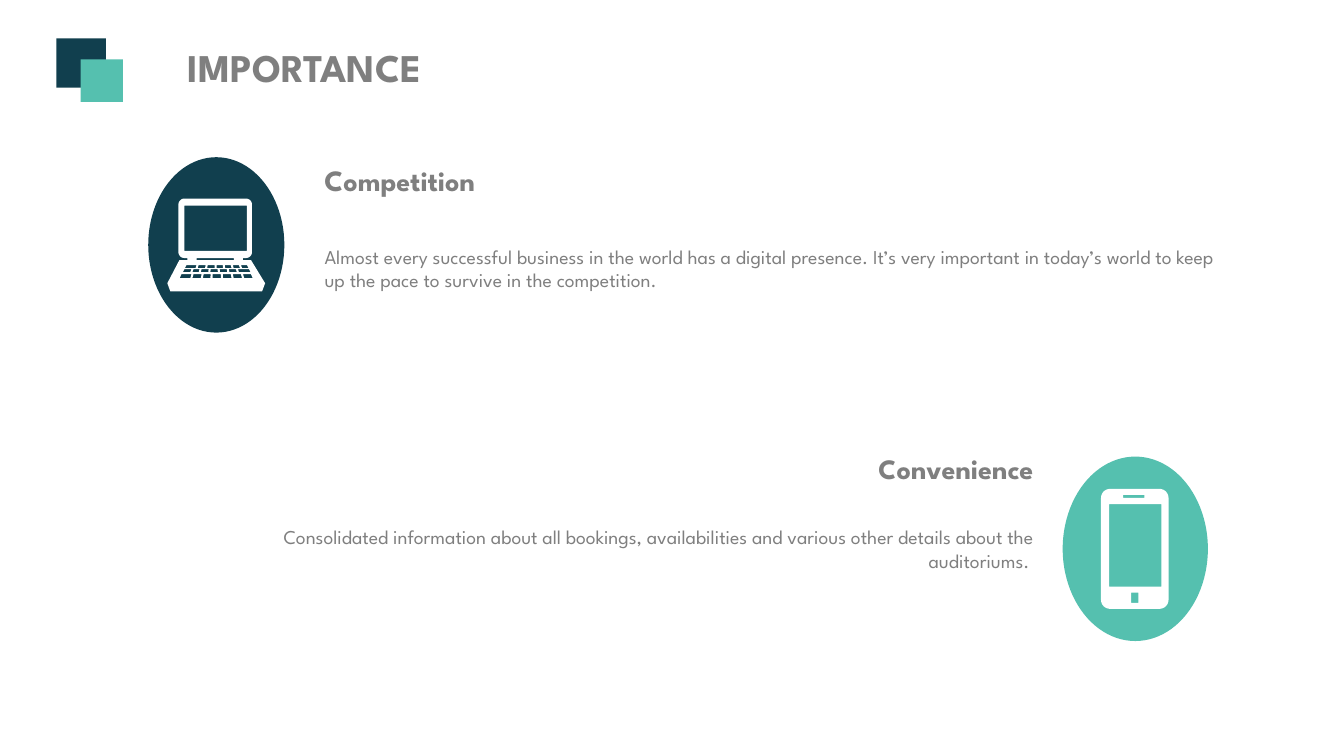
from dataclasses import dataclass
from math import cos, pi, sin

from pptx import Presentation
from pptx.dml.color import RGBColor
from pptx.enum.shapes import MSO_SHAPE
from pptx.enum.text import PP_ALIGN
from pptx.util import Pt

PX = 9144


@dataclass(frozen=True)
class Theme:
    navy: str = "113F4E"
    teal: str = "55C0AF"
    white: str = "FFFFFF"
    grey: str = "7F7F7F"
    font: str = "League Spartan"
    title: int = 28
    heading: int = 20
    initial: int = 21
    body: int = 14


THEME = Theme()


def px(*lengths):
    return [round(length * PX) for length in lengths]


def paint(shape, color):
    shape.shadow.inherit = False
    shape.fill.solid()
    shape.fill.fore_color.rgb = RGBColor.from_string(color)
    shape.line.fill.background()


def add_block(page, kind, box, color):
    paint(page.shapes.add_shape(kind, *px(*box)), color)


def write_text(page, text, box, size=THEME.body, bold=False, align=PP_ALIGN.LEFT, initial=None):
    frame = page.shapes.add_textbox(*px(*box)).text_frame
    frame.word_wrap = True
    para = frame.paragraphs[0]
    para.alignment = align
    parts = [(text[0], initial), (text[1:], size)] if initial else [(text, size)]
    for part, part_size in parts:
        span = para.add_run()
        span.text = part
        span.font.name = THEME.font
        span.font.size = Pt(part_size)
        span.font.bold = bold
        span.font.color.rgb = RGBColor.from_string(THEME.grey)


def rectangle(left, top, width, height):
    right, bottom = left + width, top + height
    return [(left, top), (right, top), (right, bottom), (left, bottom)]


def rounded(left, top, width, height, radius, steps=8):
    inner = rectangle(left + radius, top + radius, width - 2 * radius, height - 2 * radius)
    points = []
    for corner, (x, y) in enumerate(inner):
        for step in range(steps + 1):
            angle = pi + (corner + step / steps) * pi / 2
            points.append((x + radius * cos(angle), y + radius * sin(angle)))
    return points


def key_row(left, top, height, widths, gap=2, center=49, spread=0.05):
    keys = []
    for width in widths:
        right = left + width
        low_left, low_right = (x + (x - center) * spread for x in (left, right))
        keys.append([(left, top), (right, top), (low_right, top + height), (low_left, top + height)])
        left = right + gap
    return keys


def laptop_outlines():
    return [
        rounded(11, 0, 73, 59, 6),
        rectangle(17, 7, 62, 45),
        rectangle(20, 59, 9, 2),
        rectangle(66, 59, 9, 2),
        [(12, 61), (83, 61), (97, 84), (94, 92), (3, 92), (0, 84)],
        *key_row(19, 66, 3, (10, 7, 7, 6, 6, 6, 6)),
        *key_row(17, 70, 3, (7, 6, 7, 7, 7, 7, 11)),
        *key_row(14, 75, 4, (10, 8, 7, 8, 8, 8, 8)),
    ]


def phone_outlines():
    return [
        rounded(0, 0, 67, 119, 9),
        rectangle(30, 103, 7, 10),
        rectangle(22, 6, 21, 3),
        rectangle(8, 15, 52, 82),
    ]


def add_badge(page, box, color, outlines, offset):
    group = page.shapes.add_group_shape()
    add_block(group, MSO_SHAPE.OVAL, box, color)
    builder = None
    for outline in outlines:
        start, *rest = [px(*point) for point in outline]
        if builder is None:
            builder = group.shapes.build_freeform(*start)
        else:
            builder.move_to(*start)
        builder.add_line_segments(rest, close=True)
    origin = px(box[0] + offset[0], box[1] + offset[1])
    paint(builder.convert_to_shape(*origin), THEME.white)


def add_header(page, box, title):
    left, top, width, height = box
    write_text(page, title, (left + 43, top, width - 43, height),
               size=THEME.title, bold=True, align=PP_ALIGN.CENTER)
    add_block(page, MSO_SHAPE.RECTANGLE, (left, top, 49, 49), THEME.navy)
    add_block(page, MSO_SHAPE.RECTANGLE, (left + 24, top + 21, 42, 42), THEME.teal)


def add_competition(page, box):
    left, top, width, height = box
    add_badge(page, (left, top, 135, height), THEME.navy, laptop_outlines(), (19, 41))
    write_text(page, "Competition", (left + 165, top, 250, 65),
               size=THEME.heading, bold=True, initial=THEME.initial)
    write_text(page, "Almost every successful business in the world has a digital presence. "
               "It’s very important in today’s world to keep up the pace to survive in the competition.",
               (left + 165, top + 82, width - 165, 121))


def add_convenience(page, box):
    left, top, width, height = box
    right = left + width
    add_badge(page, (right - 144, top, 144, height), THEME.teal, phone_outlines(), (38, 32))
    write_text(page, "Convenience", (right - 447, top - 10, 284, 69),
               size=THEME.heading, bold=True, align=PP_ALIGN.RIGHT)
    write_text(page, "Consolidated information about all bookings, availabilities "
               "and various other details about the auditoriums. ",
               (left, top + 63, width - 162, 90), align=PP_ALIGN.RIGHT)


def main():
    deck = Presentation()
    deck.slide_width, deck.slide_height = px(1333, 750)
    page = deck.slides.add_slide(deck.slide_layouts[6])
    add_competition(page, (147, 156, 1080, 174))
    add_convenience(page, (208, 453, 990, 183))
    add_header(page, (56, 38, 449, 57), "IMPORTANCE")
    deck.save("out.pptx")


if __name__ == "__main__":
    main()
